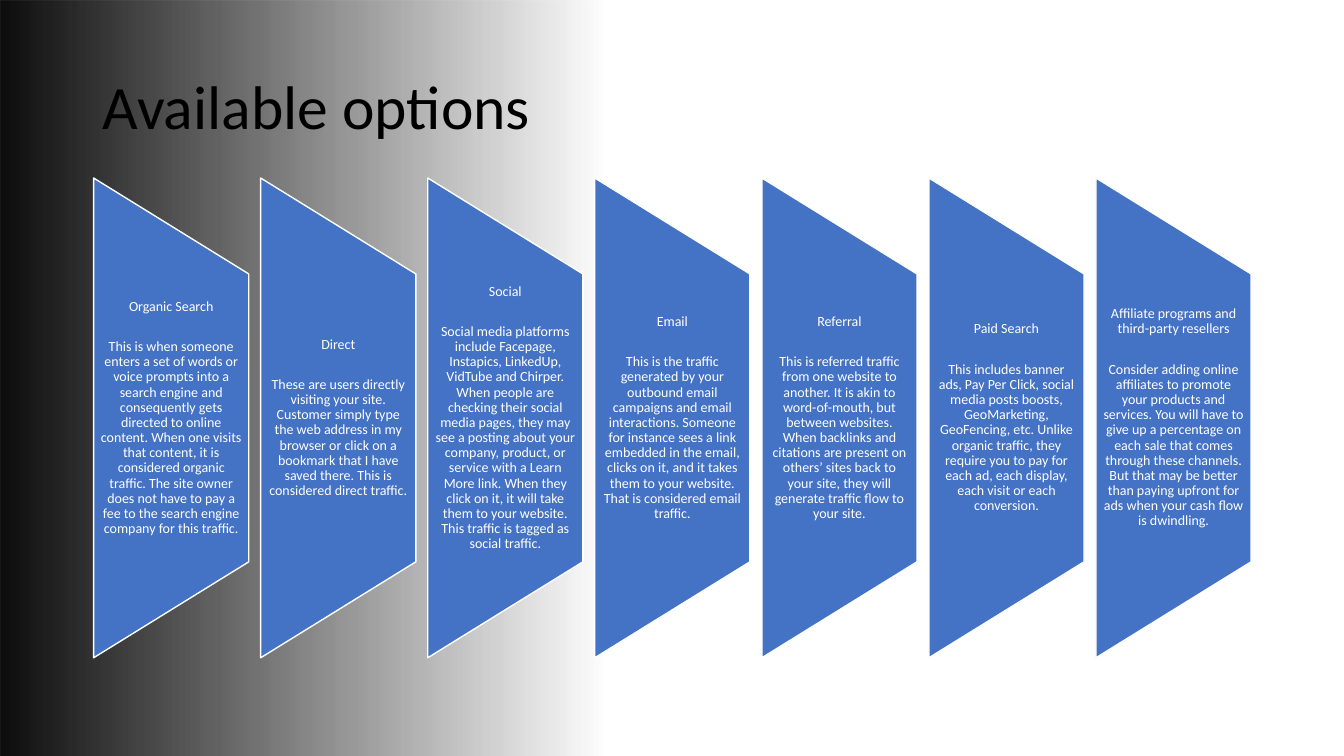
import pptx
import pptx.util
import pptx.dml.color
import pptx.enum.shapes
import pptx.enum.text
import pptx.oxml
import pptx.oxml.ns
from pptx.util import Cm

FONT = "Calibri"
BLACK, WHITE, BLUE, SHADE = "000000", "FFFFFF", "4472C4", "0D0D0D"
PAGE_WIDTH, PAGE_HEIGHT = 33.87, 19.05

# Row of trapezoids, in centimetres
FIRST_LEFT, PITCH = 2.36, 4.21
PANEL_WIDTH, PANEL_HEIGHT, PANEL_MIDDLE = 3.91, 12.09, 10.53
TEXT_HEIGHT = 7.26

OPTIONS = [
    ("Organic Search",
     "This is when someone enters a set of words or voice prompts into a search "
     "engine and consequently gets directed to online content. When one visits "
     "that content, it is considered organic traffic. The site owner does not "
     "have to pay a fee to the search engine company for this traffic."),
    ("Direct",
     "These are users directly visiting your site. Customer simply type the web "
     "address in my browser or click on a bookmark that I have saved there. "
     "This is considered direct traffic."),
    ("Social",
     "Social media platforms include Facepage, Instapics, LinkedUp, VidTube and "
     "Chirper. When people are checking their social media pages, they may see "
     "a posting about your company, product, or service with a Learn More link. "
     "When they click on it, it will take them to your website. This traffic is "
     "tagged as social traffic."),
    ("Email",
     "This is the traffic generated by your outbound email campaigns and email "
     "interactions. Someone for instance sees a link embedded in the email, "
     "clicks on it, and it takes them to your website. That is considered email "
     "traffic."),
    ("Referral",
     "This is referred traffic from one website to another. It is akin to "
     "word-of-mouth, but between websites. When backlinks and citations are "
     "present on others’ sites back to your site, they will generate traffic "
     "flow to your site."),
    ("Paid Search",
     "This includes banner ads, Pay Per Click, social media posts boosts, "
     "GeoMarketing, GeoFencing, etc. Unlike organic traffic, they require you "
     "to pay for each ad, each display, each visit or each conversion."),
    ("Affiliate programs and third-party resellers",
     "Consider adding online affiliates to promote your products and services. "
     "You will have to give up a percentage on each sale that comes through "
     "these channels. But that may be better than paying upfront for ads when "
     "your cash flow is dwindling."),
]


def colour(code):
    return pptx.dml.color.RGBColor.from_string(code)


def write(paragraph, text, size=10, code=WHITE, align="CENTER", after=0):
    """Put formatted text into a paragraph."""
    paragraph.alignment = getattr(pptx.enum.text.PP_ALIGN, align)
    paragraph.line_spacing = 0.9
    paragraph.space_before = pptx.util.Pt(0)
    paragraph.space_after = pptx.util.Pt(after)
    span = paragraph.add_run()
    span.text = text
    span.font.name = FONT
    span.font.size = pptx.util.Pt(size)
    span.font.color.rgb = colour(code)


def add_backdrop(page):
    """Dark shade that fades out to the right, behind everything."""
    backdrop = page.shapes.add_shape(
        pptx.enum.shapes.MSO_SHAPE.RECTANGLE, 0, 0, Cm(PAGE_WIDTH), Cm(PAGE_HEIGHT))
    backdrop.shadow.inherit = False
    backdrop.line.fill.background()
    backdrop.fill.gradient()
    backdrop.fill.gradient_angle = 0
    for stop, position in zip(backdrop.fill.gradient_stops, (0, 0.45)):
        stop.color.rgb = colour(SHADE)
        stop.position = position
    # The last stop is fully transparent
    last = backdrop._element.findall(".//" + pptx.oxml.ns.qn("a:srgbClr"))[-1]
    last.append(pptx.oxml.parse_xml(
        '<a:alpha %s val="0"/>' % pptx.oxml.ns.nsdecls("a")))
    page.shapes.title._element.addprevious(backdrop._element)


def set_title(page, text):
    title = page.shapes.title
    title.left, title.top = Cm(2.33), Cm(0.91)
    title.width, title.height = Cm(29.21), Cm(3.68)
    frame = title.text_frame
    frame.vertical_anchor = pptx.enum.text.MSO_ANCHOR.MIDDLE
    write(frame.paragraphs[0], text, size=44, code=BLACK, align="LEFT")


def add_panel(group, left):
    """Trapezoid lying on its side, with the long edge on the left."""
    panel = group.shapes.add_shape(
        pptx.enum.shapes.MSO_SHAPE.FLOWCHART_MANUAL_OPERATION,
        Cm(left + (PANEL_WIDTH - PANEL_HEIGHT) / 2),
        Cm(PANEL_MIDDLE - PANEL_WIDTH / 2), Cm(PANEL_HEIGHT), Cm(PANEL_WIDTH))
    panel.rotation = 270
    panel.shadow.inherit = False
    panel.fill.solid()
    panel.fill.fore_color.rgb = colour(BLUE)
    panel.line.color.rgb = colour(WHITE)
    panel.line.width = pptx.util.Pt(1)


def add_description(group, left, heading, body):
    box = group.shapes.add_textbox(
        Cm(left), Cm(PANEL_MIDDLE - TEXT_HEIGHT / 2), Cm(PANEL_WIDTH), Cm(TEXT_HEIGHT))
    frame = box.text_frame
    frame.word_wrap = True
    frame.vertical_anchor = pptx.enum.text.MSO_ANCHOR.MIDDLE
    frame.margin_left = frame.margin_right = Cm(0.18)
    frame.margin_top = frame.margin_bottom = 0
    write(frame.paragraphs[0], heading, after=18)
    write(frame.add_paragraph(), body)


def main():
    deck = pptx.Presentation()
    deck.slide_width, deck.slide_height = Cm(PAGE_WIDTH), Cm(PAGE_HEIGHT)
    page = deck.slides.add_slide(deck.slide_layouts[5])
    add_backdrop(page)
    set_title(page, "Available options")

    # One panel with its description per option
    group = page.shapes.add_group_shape()
    for index, (heading, body) in enumerate(OPTIONS):
        left = FIRST_LEFT + index * PITCH
        add_panel(group, left)
        add_description(group, left, heading, body)
    deck.save("out.pptx")


main()
